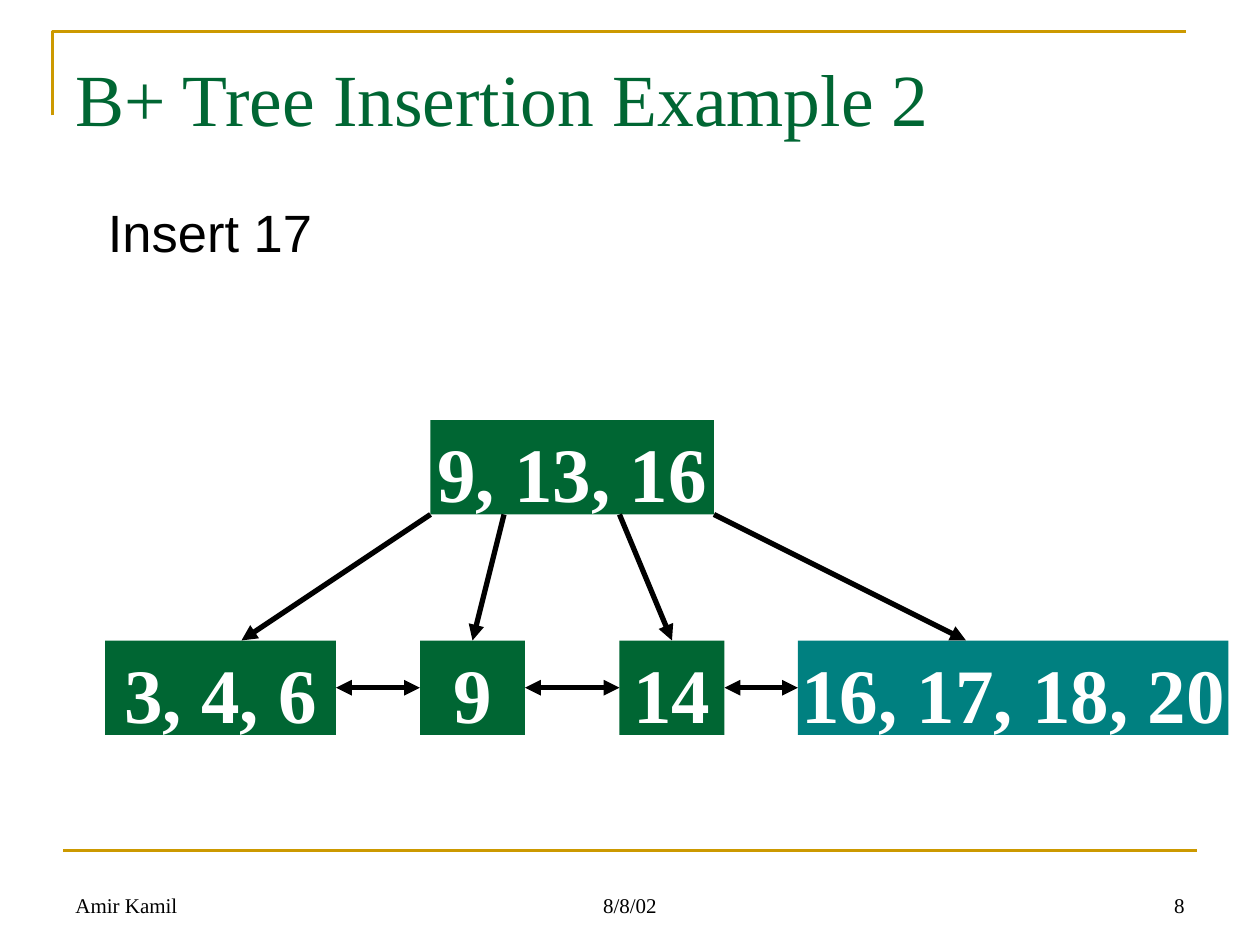
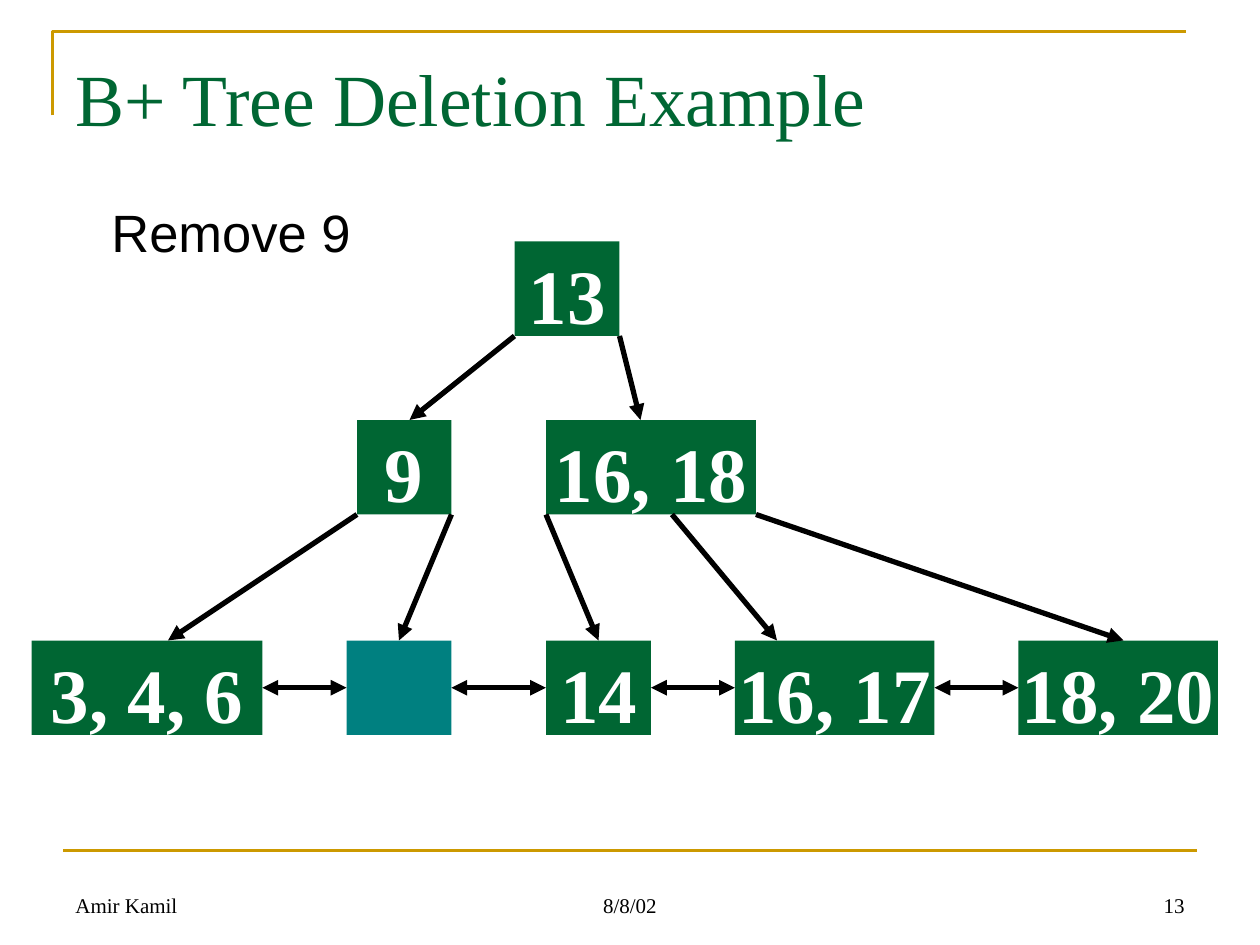
import dataclasses

import lxml.etree
import pptx
import pptx.dml.color
import pptx.enum.shapes
import pptx.enum.text
import pptx.oxml.ns
import pptx.util

Align = pptx.enum.text.PP_ALIGN
Anchor = pptx.enum.text.MSO_ANCHOR
GRID_CM = 2.54 / 12
NODE_HEIGHT = 9


@dataclasses.dataclass(frozen=True)
class Theme:
    green: str = "006633"
    teal: str = "008080"
    gold: str = "CC9900"
    black: str = "000000"
    white: str = "FFFFFF"
    serif: str = "Times New Roman"
    sans: str = "Arial"
    title_size: int = 42
    prompt_size: int = 30
    key_size: int = 44
    footer_size: int = 12
    rule_width: float = 1.5
    arrow_width: float = 3


@dataclasses.dataclass(frozen=True)
class Box:
    left: float
    top: float
    width: float
    height: float

    def inner(self, left, top, width, height):
        return Box(self.left + left, self.top + top, width, height)

    def lengths(self):
        return [grid(n) for n in (self.left, self.top, self.width, self.height)]


@dataclasses.dataclass(frozen=True)
class Node:
    left: float
    top: float
    width: float
    keys: str
    changed: bool = False


THEME = Theme()
FRAME = Box(5, 3, 108, 8)
TITLE = Box(6, 3.6, 108, 15)
FOOTER = Box(6, 81, 108, 7)


def grid(units):
    return pptx.util.Cm(units * GRID_CM)


def rgb(colour):
    return pptx.dml.color.RGBColor.from_string(colour)


def write(frame, text, size, colour, font=THEME.serif, align=Align.LEFT,
          bold=False, top_inset=0.13):
    frame.margin_top = pptx.util.Cm(top_inset)
    paragraph = frame.paragraphs[0]
    paragraph.alignment = align
    run = paragraph.add_run()
    run.text = text
    run.font.name = font
    run.font.size = pptx.util.Pt(size)
    run.font.bold = bold
    run.font.color.rgb = rgb(colour)


def add_text(slide, box, text, size, colour, anchor=Anchor.TOP, **style):
    frame = slide.shapes.add_textbox(*box.lengths()).text_frame
    frame.word_wrap = True
    frame.vertical_anchor = anchor
    write(frame, text, size, colour, **style)


def add_line(slide, start, end, colour, width, arrows=()):
    line = slide.shapes.add_connector(
        pptx.enum.shapes.MSO_CONNECTOR.STRAIGHT, *[grid(n) for n in (*start, *end)])
    line.line.color.rgb = rgb(colour)
    line.line.width = pptx.util.Pt(width)
    outline = line.line._get_or_add_ln()
    for arrow in arrows:
        lxml.etree.SubElement(outline, pptx.oxml.ns.qn(f"a:{arrow}"), type="triangle")
    lxml.etree.SubElement(line._element.spPr, pptx.oxml.ns.qn("a:effectLst"))


def add_frame(slide, box):
    corner = slide.shapes.build_freeform(grid(box.left), grid(box.top + box.height))
    corner.add_line_segments(
        [(grid(box.left), grid(box.top)), (grid(box.left + box.width), grid(box.top))],
        close=False)
    bracket = corner.convert_to_shape()
    bracket.shadow.inherit = False
    bracket.fill.background()
    bracket.line.color.rgb = rgb(THEME.gold)
    bracket.line.width = pptx.util.Pt(THEME.rule_width)


def add_footer(slide, box, number):
    add_line(slide, (box.left, box.top), (box.left + box.width, box.top),
             THEME.gold, THEME.rule_width)
    for left, width, text, align in (
            (0, 28, "Amir Kamil", Align.LEFT),
            (35, 38, "8/8/02", Align.CENTER),
            (80, 28, str(number), Align.RIGHT)):
        add_text(slide, box.inner(left, 1, width, 6), text, THEME.footer_size,
                 THEME.black, anchor=Anchor.BOTTOM, align=align)


def add_node(slide, box, node):
    place = box.inner(node.left, node.top, node.width, NODE_HEIGHT)
    block = slide.shapes.add_shape(
        pptx.enum.shapes.MSO_SHAPE.RECTANGLE, *place.lengths())
    block.shadow.inherit = False
    block.fill.solid()
    block.fill.fore_color.rgb = rgb(THEME.teal if node.changed else THEME.green)
    block.line.fill.background()
    if node.keys:
        frame = block.text_frame
        frame.word_wrap = False
        frame.vertical_anchor = Anchor.MIDDLE
        frame.margin_bottom = 0
        write(frame, node.keys, THEME.key_size, THEME.white,
              align=Align.CENTER, bold=True, top_inset=0.19)


def add_tree(slide, box, parents, leaves, pointers):
    for node in parents + leaves:
        add_node(slide, box, node)
    for start_x, start_y, end_x, end_y in pointers:
        add_line(slide, (box.left + start_x, box.top + start_y),
                 (box.left + end_x, box.top + end_y),
                 THEME.black, THEME.arrow_width, ["tailEnd"])
    for leaf, sibling in zip(leaves, leaves[1:]):
        middle = box.top + leaf.top + NODE_HEIGHT / 2
        add_line(slide, (box.left + leaf.left + leaf.width, middle),
                 (box.left + sibling.left, middle),
                 THEME.black, THEME.arrow_width, ["headEnd", "tailEnd"])


def add_example(deck, title, prompt, prompt_box, number, tree_box, **tree):
    slide = deck.slides.add_slide(deck.slide_layouts[6])
    add_frame(slide, FRAME)
    add_text(slide, TITLE, title, THEME.title_size, THEME.green, top_inset=0.3)
    add_text(slide, prompt_box, prompt, THEME.prompt_size, THEME.black,
             font=THEME.sans, align=Align.CENTER, top_inset=0.23)
    add_tree(slide, tree_box, **tree)
    add_footer(slide, FOOTER, number)


def main():
    deck = pptx.Presentation()
    deck.slide_width, deck.slide_height = grid(120), grid(90)
    add_example(
        deck, "B+ Tree Insertion Example 2", "Insert 17", Box(4, 18, 32, 7.2), 8,
        Box(10, 40, 107, 30),
        parents=[Node(31, 0, 27, "9, 13, 16")],
        leaves=[Node(0, 21, 22, "3, 4, 6"), Node(30, 21, 10, "9"),
                Node(49, 21, 10, "14"), Node(66, 21, 41, "16, 17, 18, 20", True)],
        pointers=[(31, 9, 13, 21), (38, 9, 35, 21), (49, 9, 54, 21), (58, 9, 82, 21)])
    add_example(
        deck, "B+ Tree Deletion Example", "Remove 9", Box(4, 18, 36, 7.2), 13,
        Box(3, 23, 113, 47),
        parents=[Node(46, 0, 10, "13"), Node(31, 17, 9, "9"),
                 Node(49, 17, 20, "16, 18")],
        leaves=[Node(0, 38, 22, "3, 4, 6"), Node(30, 38, 10, "", True),
                Node(49, 38, 10, "14"), Node(67, 38, 19, "16, 17"),
                Node(94, 38, 19, "18, 20")],
        pointers=[(46, 9, 36, 17), (56, 9, 58, 17), (31, 26, 13, 38), (40, 26, 35, 38),
                  (49, 26, 54, 38), (61, 26, 71, 38), (69, 26, 104, 38)])
    deck.save("out.pptx")


if __name__ == "__main__":
    main()
